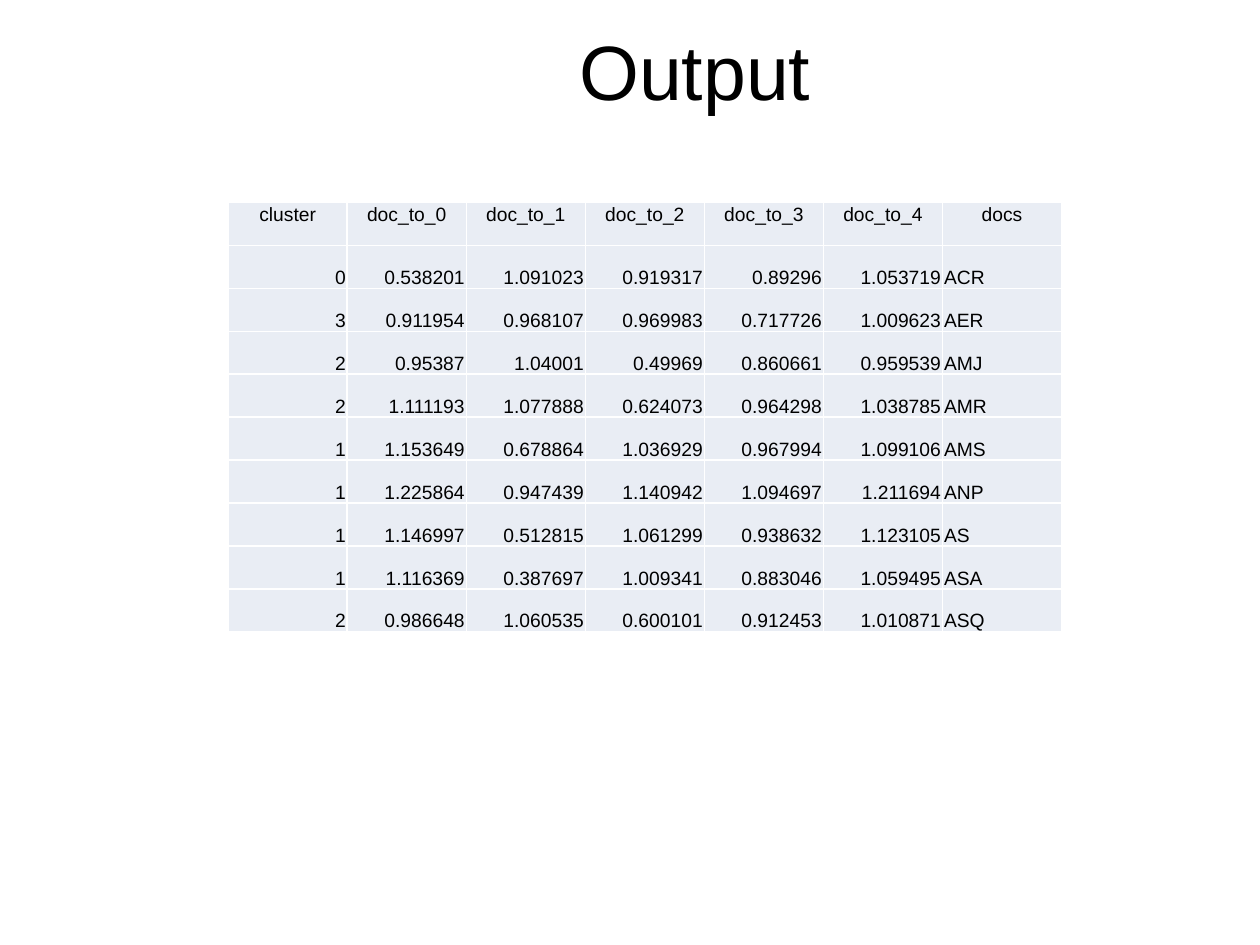
from dataclasses import dataclass

from lxml.etree import SubElement
from pptx import Presentation
from pptx.dml.color import RGBColor
from pptx.enum.text import MSO_ANCHOR, PP_ALIGN
from pptx.oxml.ns import qn
from pptx.util import Cm, Pt


@dataclass(frozen=True)
class Theme:
    font: str = "Arial"
    text: str = "000000"
    cell_fill: str = "E9EDF4"
    border: str = "FFFFFF"
    border_width: int = Pt(1)
    title_size: int = Pt(44)
    table_size: int = Pt(11)


THEME = Theme()

HEADINGS = ("cluster", "doc_to_0", "doc_to_1", "doc_to_2", "doc_to_3", "doc_to_4", "docs")
RESULTS = (
    ("0", "0.538201", "1.091023", "0.919317", "0.89296", "1.053719", "ACR"),
    ("3", "0.911954", "0.968107", "0.969983", "0.717726", "1.009623", "AER"),
    ("2", "0.95387", "1.04001", "0.49969", "0.860661", "0.959539", "AMJ"),
    ("2", "1.111193", "1.077888", "0.624073", "0.964298", "1.038785", "AMR"),
    ("1", "1.153649", "0.678864", "1.036929", "0.967994", "1.099106", "AMS"),
    ("1", "1.225864", "0.947439", "1.140942", "1.094697", "1.211694", "ANP"),
    ("1", "1.146997", "0.512815", "1.061299", "0.938632", "1.123105", "AS"),
    ("1", "1.116369", "0.387697", "1.009341", "0.883046", "1.059495", "ASA"),
    ("2", "0.986648", "1.060535", "0.600101", "0.912453", "1.010871", "ASQ"),
)


def write_text(text_frame, text, size, alignment):
    paragraph = text_frame.paragraphs[0]
    paragraph.alignment = alignment
    run = paragraph.add_run()
    run.text = text
    run.font.name = THEME.font
    run.font.size = size
    run.font.color.rgb = RGBColor.from_string(THEME.text)


def add_title(slide, text):
    shape = slide.shapes.add_textbox(Cm(2.82), Cm(0.08), Cm(22.38), Cm(2.64))
    text_frame = shape.text_frame
    text_frame.word_wrap = True
    text_frame.vertical_anchor = MSO_ANCHOR.MIDDLE
    write_text(text_frame, text, THEME.title_size, PP_ALIGN.CENTER)


def set_borders(cell):
    """Draw all four sides; must run before the fill is set, as the schema orders them."""
    properties = cell._tc.get_or_add_tcPr()
    for side in ("a:lnL", "a:lnR", "a:lnT", "a:lnB"):
        line = SubElement(properties, qn(side), w=str(THEME.border_width))
        fill = SubElement(line, qn("a:solidFill"))
        SubElement(fill, qn("a:srgbClr"), val=THEME.border)


def fill_cell(cell, text, alignment, anchor):
    cell.margin_left = cell.margin_right = cell.margin_top = Cm(0.03)
    cell.margin_bottom = 0
    cell.vertical_anchor = anchor
    set_borders(cell)
    cell.fill.solid()
    cell.fill.fore_color.rgb = RGBColor.from_string(THEME.cell_fill)
    write_text(cell.text_frame, text, THEME.table_size, alignment)


def add_results_table(slide, headings, results):
    table = slide.shapes.add_table(
        len(results) + 1, len(headings), Cm(4.6), Cm(4.08), Cm(16.8), Cm(8.66)
    ).table
    table.first_row = False
    table.horz_banding = False
    for column, heading in enumerate(headings):
        fill_cell(table.cell(0, column), heading, PP_ALIGN.CENTER, MSO_ANCHOR.TOP)
    last_column = len(headings) - 1
    for row, values in enumerate(results, start=1):
        for column, value in enumerate(values):
            alignment = PP_ALIGN.LEFT if column == last_column else PP_ALIGN.RIGHT
            fill_cell(table.cell(row, column), value, alignment, MSO_ANCHOR.BOTTOM)


def main():
    presentation = Presentation()
    presentation.slide_width = Cm(25.4)
    presentation.slide_height = Cm(19.05)
    slide = presentation.slides.add_slide(presentation.slide_layouts[6])
    add_title(slide, "Output")
    add_results_table(slide, HEADINGS, RESULTS)
    presentation.save("out.pptx")


if __name__ == "__main__":
    main()
